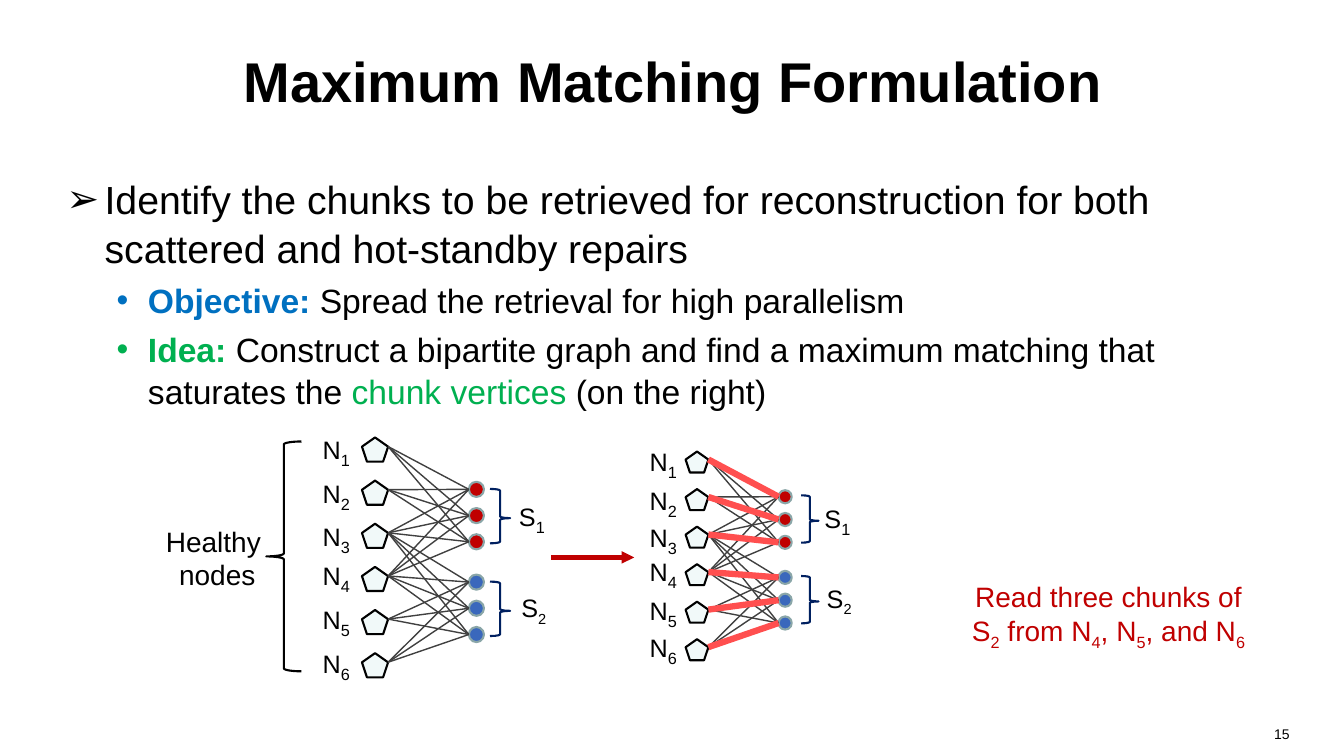
from pptx import Presentation
from pptx.dml.color import RGBColor
from pptx.enum.dml import MSO_LINE
from pptx.enum.shapes import MSO_CONNECTOR, MSO_SHAPE
from pptx.enum.text import MSO_ANCHOR, PP_ALIGN
from pptx.oxml.ns import qn
from pptx.util import Inches, Pt
from lxml.etree import SubElement

BLACK = RGBColor(0, 0, 0)
GRAY = RGBColor(0x40, 0x40, 0x40)
RED = RGBColor(0xC0, 0, 0)
PINK = RGBColor(0xFF, 0x4F, 0x4F)
BLUE = RGBColor(0x3A, 0x68, 0xBC)
NAVY = RGBColor(0, 0x20, 0x60)
SKY = RGBColor(0, 0x70, 0xC0)
GREEN = RGBColor(0, 0xB0, 0x50)
PALE = RGBColor(0xF1, 0xF9, 0xF9)
RIM = RGBColor(0x8A, 0xA6, 0xA8)

STEP = 0.428
CHUNKS = [0.44, 0.7, 0.96, 1.36, 1.62, 1.88]
LABELS = [-0.03, 0.41, 0.83, 1.22, 1.66, 2.09]


def write(para, text, size=18, color=BLACK, bold=False, low=None):
    """Add text to a paragraph; the character after each "_" is a subscript."""
    head, *tails = text.split("_")
    parts = [(head, False)]
    for tail in tails:
        parts += [(tail[0], True), (tail[1:], False)]
    for part, sub in parts:
        if part:
            run = para.add_run()
            run.text = part
            font = run.font
            font.name, font.bold = "Arial", bold
            font.size = Pt(low if sub and low else size)
            font.color.rgb = color
            if sub:
                run._r.get_or_add_rPr().set("baseline", "-25000")


def frame(shapes, box, anchor=MSO_ANCHOR.MIDDLE, pad=0.0):
    body = shapes.add_textbox(*map(Inches, box)).text_frame
    body.word_wrap = True
    body.vertical_anchor = anchor
    body.margin_left = body.margin_right = Inches(pad)
    body.margin_top = body.margin_bottom = Inches(0.05)
    return body


def label(shapes, box, text, align=PP_ALIGN.CENTER, anchor=MSO_ANCHOR.MIDDLE, pad=0.0, **style):
    body = frame(shapes, box, anchor, pad)
    for i, line in enumerate(text.split("\n")):
        para = body.add_paragraph() if i else body.paragraphs[0]
        para.alignment = align
        write(para, line, **style)


def bullet(para, mark, left, hang, runs, size, before):
    para.space_before = Pt(before)
    para.line_spacing = 1.04
    props = para._p.get_or_add_pPr()
    props.set("marL", str(Inches(left)))
    props.set("indent", str(-Inches(hang)))
    SubElement(props, qn("a:buFont")).set("typeface", "Arial")
    SubElement(props, qn("a:buChar")).set("char", mark)
    for text, color, bold in runs:
        write(para, text, size=size, color=color, bold=bold)


def shape(shapes, kind, box, fill, edge):
    item = shapes.add_shape(kind, *map(Inches, box))
    item.shadow.inherit = False
    if fill is None:
        item.fill.background()
    else:
        item.fill.solid()
        item.fill.fore_color.rgb = fill
    item.line.color.rgb = edge
    item.line.width = Pt(1.5)
    return item


def brace(shapes, box, edge, turn=0, mid=0.5):
    item = shape(shapes, MSO_SHAPE.LEFT_BRACE, box, None, edge)
    item.adjustments[0], item.adjustments[1] = 0.083, mid
    item.rotation = turn


def arrow(item):
    SubElement(item.line._get_or_add_ln(), qn("a:tailEnd")).set("type", "triangle")


def link(shapes, start, end, color, width):
    item = shapes.add_connector(MSO_CONNECTOR.STRAIGHT, *map(Inches, (*start, *end)))
    item.line.color.rgb = color
    item.line.width = Pt(width)
    SubElement(item._element.spPr, qn("a:effectLst"))
    return item


def graph(slide, left, top, scale=1.0, match=False, shift=(0, 0)):
    shapes = slide.shapes.add_group_shape().shapes

    def place(x, y, w, h, dx=0, dy=0):
        return left + x * scale + dx, top + y * scale + dy, w * scale, h * scale

    for i, y in enumerate(CHUNKS):
        shape(shapes, MSO_SHAPE.REGULAR_PENTAGON, place(0, i * STEP, 0.26, 0.24), PALE, BLACK)
        shape(shapes, MSO_SHAPE.OVAL, place(1.06, y, 0.15, 0.15), RED if i < 3 else BLUE, RIM)
        label(shapes, place(-0.58, LABELS[i], 0.65, 0.32), f"N_{i + 1}", low=20)

    pairs = [(n, c) for n in range(6) for c in range(6)
             if n in (2, 3) or (n < 3) == (c < 3)]
    if match:
        pairs.sort(key=lambda pair: pair[0] == pair[1])
    for n, c in pairs:
        bold = match and n == c
        start = place(0.26, n * STEP + 0.09, 0, 0)[:2]
        end = place(1.06, CHUNKS[c] + 0.075, 0, 0)[:2]
        link(shapes, start, end, PINK if bold else GRAY, 4.5 if bold else 1)

    for name, x, y, low in (("S_1", 1.36, 0.51, 20), ("S_2", 1.38, 1.43, 18)):
        brace(shapes, place(1.27, y, 0.2, 0.54, *shift), NAVY, 180, 0.463)
        label(shapes, place(x, y + 0.12, 0.65, 0.32, *shift), name, low=low)


def curve(slide, pieces):
    points = []
    for a, b, c, d in pieces:
        for k in range(13):
            t = k / 12
            points.append(tuple(
                (1 - t) ** 3 * p + 3 * t * (1 - t) ** 2 * q + 3 * t * t * (1 - t) * r + t ** 3 * s
                for p, q, r, s in zip(a, b, c, d)))
    pen = slide.shapes.build_freeform(*points[0], scale=Inches(1))
    pen.add_line_segments(points[1:], close=False)
    item = pen.convert_to_shape()
    item.shadow.inherit = False
    item.fill.background()
    item.line.color.rgb = RED
    item.line.width = Pt(1.5)
    item.line.dash_style = MSO_LINE.DASH
    arrow(item)


def main():
    deck = Presentation()
    deck.slide_width, deck.slide_height = Inches(13.33), Inches(7.5)
    slide = deck.slides.add_slide(deck.slide_layouts[6])
    shapes = slide.shapes

    label(shapes, (0.67, 0.17, 12, 1.25), "Maximum Matching Formulation", size=40, bold=True)

    body = frame(shapes, (0.56, 1.67, 12, 2.5), MSO_ANCHOR.TOP, 0.1)
    bullet(body.paragraphs[0], "➢", 0.38, 0.38, [
        ("Identify the chunks to be retrieved for reconstruction for both "
         "scattered and hot-standby repairs", BLACK, False)], 28, 0)
    for runs in (
        [("Objective: ", SKY, True),
         ("Spread the retrieval for high parallelism", BLACK, False)],
        [("Idea: ", GREEN, True),
         ("Construct a bipartite graph and find a maximum matching that saturates the ", BLACK, False),
         ("chunk vertices ", GREEN, False),
         ("(on the right)", BLACK, False)],
    ):
        bullet(body.add_paragraph(), "•", 0.81, 0.31, runs, 24, 5)

    graph(slide, 3.59, 4.34)
    brace(shapes, (2.64, 4.38, 0.35, 2.28), BLACK)
    label(shapes, (1.5, 5.25, 1.31, 0.57), "Healthy \nnodes", size=20)
    arrow(link(shapes, (5.47, 5.53), (6.29, 5.53), RED, 3))
    graph(slide, 6.8, 4.48, scale=0.87, match=True, shift=(0.04, -0.01))

    label(shapes, (9.41, 5.64, 3.17, 0.94),
          "Read three chunks of S_2 from N_4, N_5, and N_6", size=20, color=RED, pad=0.15)
    curve(slide, [
        ((8.51, 6.03), (8.67, 6.01), (8.82, 5.99), (8.97, 6.03)),
        ((8.97, 6.03), (9.12, 6.07), (9.35, 6.22), (9.42, 6.28))])
    label(shapes, (9.78, 7.15, 3.11, 0.35), "15", size=10,
          align=PP_ALIGN.RIGHT, anchor=MSO_ANCHOR.TOP, pad=0.1)
    deck.save("out.pptx")


if __name__ == "__main__":
    main()
